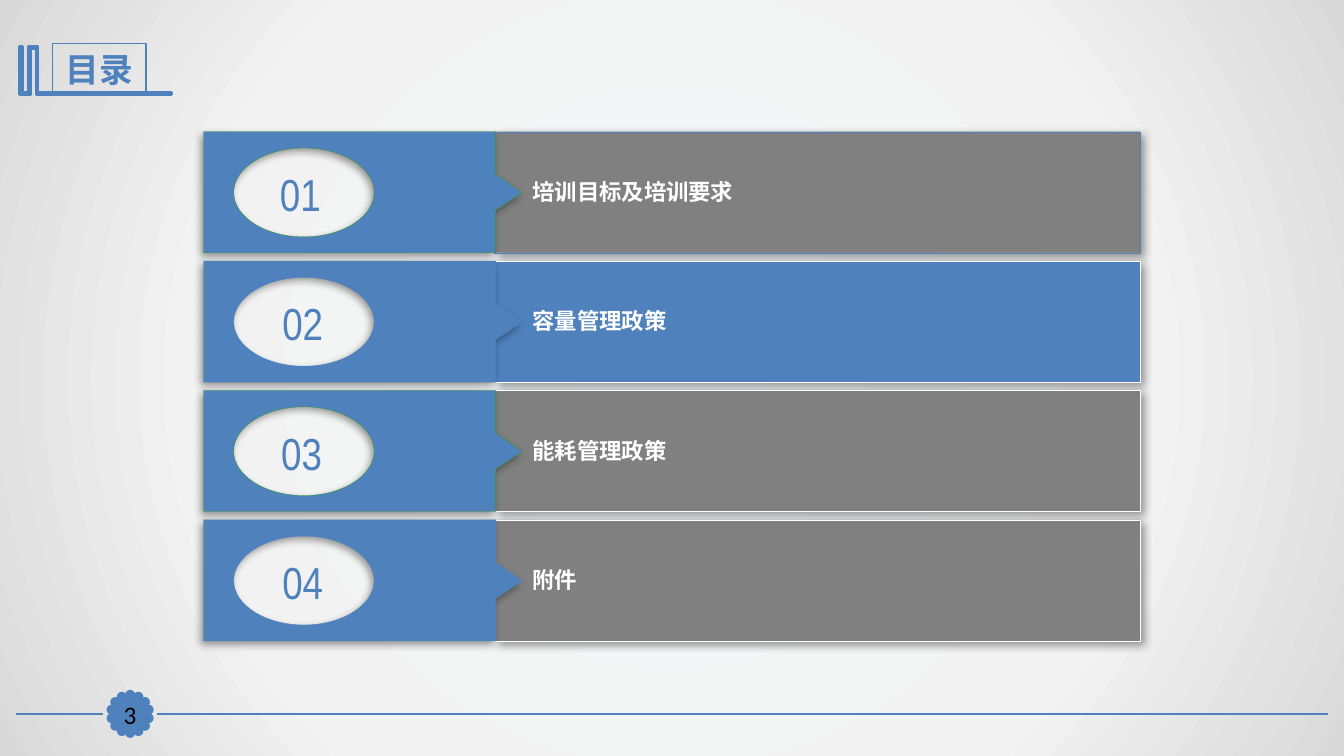
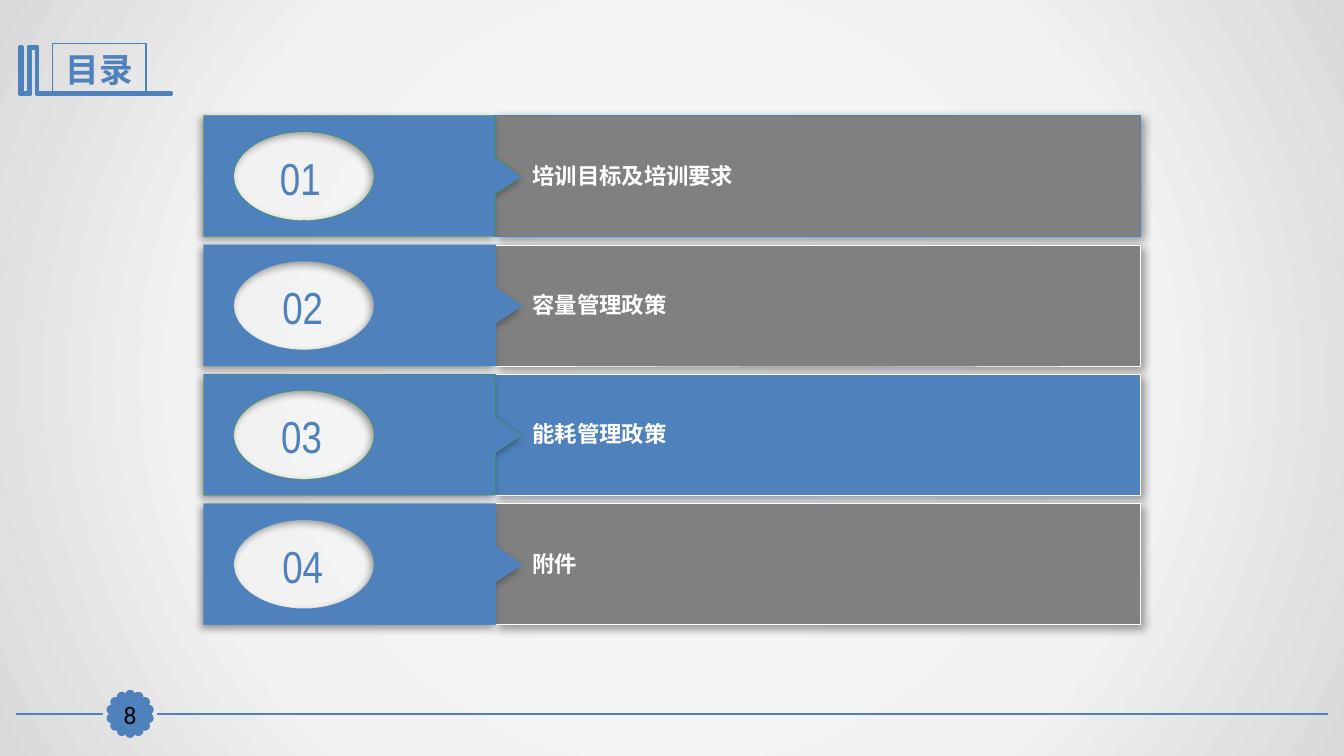
from dataclasses import dataclass
from math import cos, pi, sin

from pptx import Presentation
from pptx.dml.color import RGBColor
from pptx.enum.shapes import MSO_CONNECTOR, MSO_SHAPE
from pptx.enum.text import MSO_ANCHOR, MSO_AUTO_SIZE, PP_ALIGN
from pptx.oxml import parse_xml
from pptx.oxml.ns import nsdecls, qn
from pptx.util import Cm, Pt

COLORS = {
    "blue": "4F81BD",
    "cyan": "28A9D6",
    "gray": "808080",
    "green": "339933",
    "white": "FFFFFF",
    "black": "000000",
    "center": "F6F9FC",
    "middle": "F2F2F2",
    "edge": "D9D9D9",
}
NUMBER_FONT, BODY_FONT = "Arial Narrow", "Calibri"
ROW_HEIGHT, ROW_PITCH = 3.05, 3.26
ARC_HANDLE = 0.55  # length of a curve handle for a quarter ellipse

Point = tuple[float, float]


@dataclass(frozen=True)
class Row:
    number: str
    label: str
    number_left: float
    tab_line: str
    bar_line: str = "white"


@dataclass(frozen=True)
class Agenda:
    page_number: str
    top: float
    active: str


ROWS = [
    Row("01", "培训目标及培训要求", 6.16, "green", "blue"),
    Row("02", "容量管理政策", 6.22, "blue"),
    Row("03", "能耗管理政策", 6.19, "green"),
    Row("04", "附件", 6.22, "blue"),
]
AGENDAS = [Agenda("3", 3.32, "02"), Agenda("8", 2.91, "03")]

# Corners of the book mark left of the title, in centimetres
BOOK_MARK = [
    (0.93, 1.17), (0.96, 1.17), (0.96, 2.34), (4.33, 2.34), (4.33, 2.39),
    (0.91, 2.39), (0.91, 1.22), (0.78, 1.22), (0.78, 2.39), (0.49, 2.39),
    (0.49, 1.17), (0.56, 1.17), (0.56, 2.32), (0.71, 2.32), (0.71, 1.17),
]


def rgb(name: str) -> RGBColor:
    return RGBColor.from_string(COLORS[name])


def paint(shape, fill: str, line: str, width: float) -> None:
    shape.shadow.inherit = False
    shape.fill.solid()
    shape.fill.fore_color.rgb = rgb(fill)
    shape.line.color.rgb = rgb(line)
    shape.line.width = Pt(width)


def cast_shadow(shape, angle: int) -> None:
    effects = shape.element.spPr.find(qn("a:effectLst"))
    effects.append(parse_xml(
        f'<a:outerShdw {nsdecls("a")} blurRad="{Pt(6)}" dist="{Pt(3)}" '
        f'dir="{angle * 60000}" algn="ctr" rotWithShape="0">'
        f'<a:srgbClr val="{COLORS["black"]}"><a:alpha val="40000"/></a:srgbClr>'
        "</a:outerShdw>"))


def add_panel(shapes, kind, left: float, top: float, width: float, height: float,
              fill: str, line: str, line_width: float):
    shape = shapes.add_shape(kind, Cm(left), Cm(top), Cm(width), Cm(height))
    paint(shape, fill, line, line_width)
    return shape


def add_outline(shapes, *contours: list[Point]):
    contours_emu = [[(Cm(x), Cm(y)) for x, y in points] for points in contours]
    first, *others = contours_emu
    builder = shapes.build_freeform(*first[0])
    builder.add_line_segments(first[1:], close=True)
    for points in others:
        builder.move_to(*points[0])
        builder.add_line_segments(points[1:], close=True)
    return builder.convert_to_shape()


def round_first_contour(shape) -> None:
    """Turn the leading four-sided contour into an ellipse of four curves."""
    outline = next(shape.element.iter(qn("a:path")))
    steps = list(outline)[:5]
    corners = [(int(step[0].get("x")), int(step[0].get("y"))) for step in steps]
    center = ((corners[0][0] + corners[2][0]) / 2, (corners[0][1] + corners[2][1]) / 2)
    for step, start, end in zip(steps[1:], corners, corners[1:]):
        handles = [
            tuple(round(a + ARC_HANDLE * (b - c)) for a, b, c in zip(near, far, center))
            for near, far in ((start, end), (end, start))]
        points = "".join(f'<a:pt x="{x}" y="{y}"/>' for x, y in (*handles, end))
        outline.replace(step, parse_xml(
            f'<a:cubicBezTo {nsdecls("a")}>{points}</a:cubicBezTo>'))


def write(box, text: str, font: str, size: int, color: str,
          bold: bool = False, align=PP_ALIGN.CENTER) -> None:
    para = box.text_frame.paragraphs[0]
    para.alignment = align
    span = para.add_run()
    span.text = text
    span.font.name = font
    span.font.size = Pt(size)
    span.font.bold = bold
    span.font.color.rgb = rgb(color)


def add_text(shapes, left: float, top: float, width: float, height: float, anchor):
    box = shapes.add_textbox(Cm(left), Cm(top), Cm(width), Cm(height))
    frame = box.text_frame
    frame.word_wrap = True
    frame.auto_size = MSO_AUTO_SIZE.SHAPE_TO_FIT_TEXT
    frame.vertical_anchor = anchor
    return box


def ring(center: Point, radius_x: float, radius_y: float, count: int) -> list[Point]:
    angles = [2 * pi * step / count for step in range(count)]
    return [(center[0] + radius_x * sin(angle), center[1] - radius_y * cos(angle))
            for angle in angles]


def set_background(deck) -> None:
    master = deck.slide_master
    master.background.fill.solid()
    properties = master.element.cSld.find(qn("p:bg")).find(qn("p:bgPr"))
    stops = "".join(
        f'<a:gs pos="{position * 1000}"><a:srgbClr val="{COLORS[name]}"/></a:gs>'
        for position, name in ((0, "center"), (63, "middle"), (100, "edge")))
    properties.replace(properties[0], parse_xml(
        f'<a:gradFill {nsdecls("a")} rotWithShape="1"><a:gsLst>{stops}</a:gsLst>'
        '<a:path path="circle"><a:fillToRect l="50000" t="50000" r="50000" b="50000"/>'
        "</a:path></a:gradFill>"))


def decorate_layout(page) -> None:
    """Draw the shared decoration on a page and hand it to the page's layout."""
    # Rule on both sides of the badge
    for start, end in ((33.48, 3.97), (2.59, 0.4)):
        rule = page.shapes.add_connector(
            MSO_CONNECTOR.STRAIGHT, Cm(start), Cm(18), Cm(end), Cm(18))
        rule.line.color.rgb = rgb("blue")
        rule.line.width = Pt(1.25)
        rule.element.spPr.append(parse_xml(f'<a:effectLst {nsdecls("a")}/>'))

    # Scalloped rim of the badge
    petals = page.shapes.add_group_shape().shapes
    size = 0.18
    for x, y in ring((3.28, 17.99), 0.48, 0.48, 14):
        add_panel(petals, MSO_SHAPE.OVAL, x - size / 2, y - size / 2, size, size,
                  "blue", "blue", 2)

    # Book mark beside the title
    paint(add_outline(page.shapes, BOOK_MARK), "cyan", "blue", 2)

    layout = page.slide_layout.element
    for shape in list(page.shapes):
        if not shape.is_placeholder:
            layout.cSld.spTree.append(shape.element)
    for number, properties in enumerate(layout.iter(qn("p:cNvPr")), start=1):
        properties.set("id", str(number))


def add_title(page, text: str) -> None:
    title = page.shapes.title
    title.left, title.top, title.width, title.height = Cm(1.32), Cm(1.09), Cm(2.36), Cm(1.28)
    title.line.color.rgb = rgb("blue")
    title.line.width = Pt(0.75)
    title.text_frame.auto_size = MSO_AUTO_SIZE.NONE
    title.text_frame.vertical_anchor = MSO_ANCHOR.MIDDLE
    write(title, text, NUMBER_FONT, 24, "blue", bold=True)


def add_page_number(page, page_number: str) -> None:
    badge = add_panel(page.shapes, MSO_SHAPE.RECTANGLE, 2.87, 17.6, 0.81, 0.79,
                      "blue", "blue", 0.75)
    frame = badge.text_frame
    frame.margin_left = frame.margin_right = frame.margin_top = frame.margin_bottom = 0
    frame.vertical_anchor = MSO_ANCHOR.MIDDLE
    write(badge, page_number, BODY_FONT, 18, "black")


def add_row(page, row: Row, top: float, active: bool) -> None:
    shapes = page.shapes.add_group_shape().shapes

    # Bar behind the label
    bar = add_panel(shapes, MSO_SHAPE.RECTANGLE, 12.45, top, 16.29, ROW_HEIGHT,
                    "blue" if active else "gray", row.bar_line, 0.25)
    cast_shadow(bar, 45)

    # Pointed tab with an oval window
    window = ring((7.66, top + 1.53), 1.77, 1.12, 4)
    border = [(5.13, top), (12.49, top), (12.49, top + 1.07), (13.16, top + 1.54),
              (12.49, top + 1.98), (12.49, top + ROW_HEIGHT), (5.13, top + ROW_HEIGHT)]
    tab = add_outline(shapes, [*window, window[0]], border)
    round_first_contour(tab)
    paint(tab, "blue", row.tab_line, 0.25)
    cast_shadow(tab, 135)

    # Number and label
    number = add_text(shapes, row.number_left, top + 0.45, 2.82, 2.21, MSO_ANCHOR.MIDDLE)
    write(number, row.number, NUMBER_FONT, 32, "blue")
    label = add_text(shapes, 13.17, top + 1.04, 15.57, 1.27, MSO_ANCHOR.TOP)
    write(label, row.label, BODY_FONT, 16, "white", bold=True, align=PP_ALIGN.LEFT)


def fill_page(page, agenda: Agenda) -> None:
    add_title(page, "目录")
    add_page_number(page, agenda.page_number)
    for index, row in enumerate(ROWS):
        add_row(page, row, agenda.top + index * ROW_PITCH, row.number == agenda.active)


def main() -> None:
    deck = Presentation()
    deck.slide_width, deck.slide_height = Cm(33.87), Cm(19.05)
    set_background(deck)
    layout = deck.slide_layouts.get_by_name("Title Only")
    pages = [deck.slides.add_slide(layout) for _ in AGENDAS]
    decorate_layout(pages[0])
    for page, agenda in zip(pages, AGENDAS):
        fill_page(page, agenda)
    deck.save("out.pptx")


if __name__ == "__main__":
    main()
